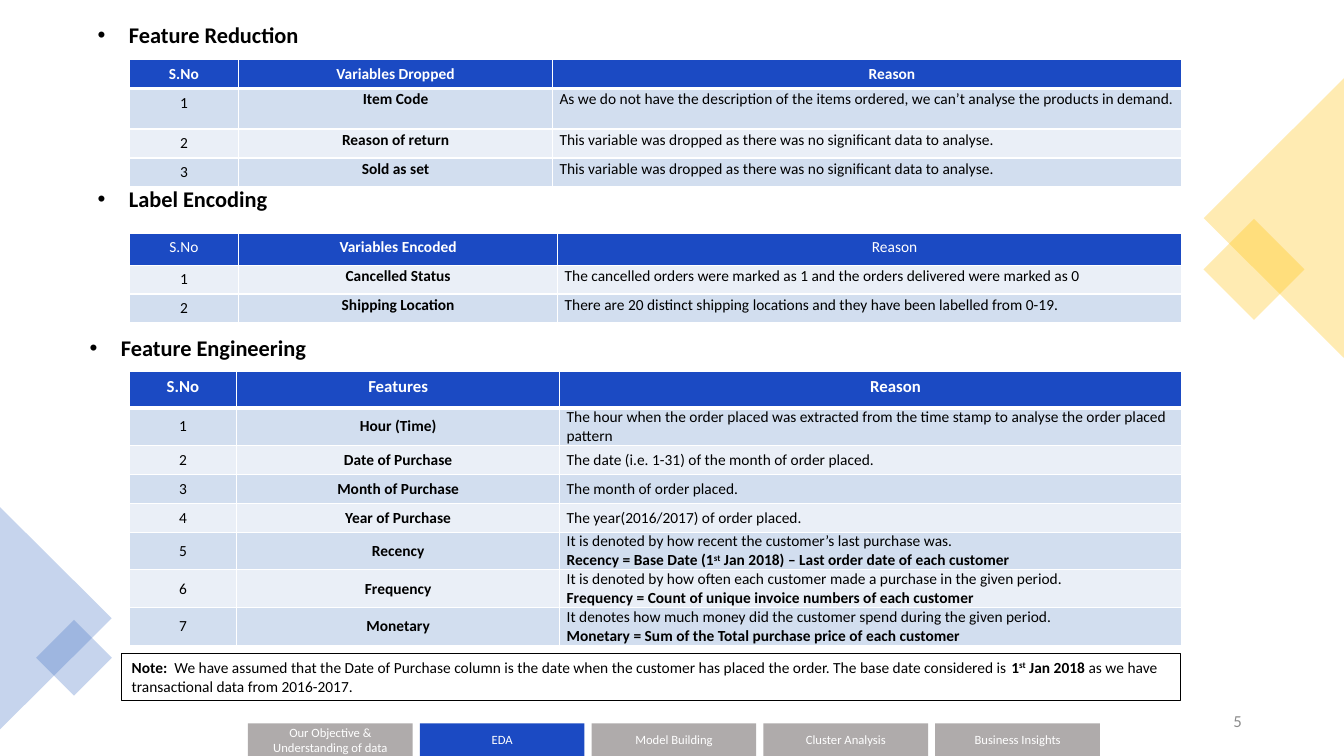
import dataclasses

import lxml.etree
import pptx
import pptx.dml.color
import pptx.enum.shapes
import pptx.enum.text
import pptx.oxml.ns
import pptx.util

Cm, Pt = pptx.util.Cm, pptx.util.Pt
SHAPE = pptx.enum.shapes.MSO_SHAPE
ALIGN = pptx.enum.text.PP_ALIGN
ANCHOR = pptx.enum.text.MSO_ANCHOR
qn = pptx.oxml.ns.qn


@dataclasses.dataclass(frozen=True)
class Theme:
    font: str = "Calibri"
    heading: float = 16
    large: float = 12
    body: float = 11
    nav: float = 9
    black: str = "000000"
    white: str = "FFFFFF"
    blue: str = "1B4AC3"
    gray: str = "AFABAB"
    number: str = "8C8C8C"
    bands: tuple = ("D2DEEF", "EAEFF7")
    gold: str = "FFC000"
    sky: str = "4472C4"


THEME = Theme()
CELL_INSETS = dict(margin_left=Cm(0.18), margin_right=Cm(0.18), margin_top=0, margin_bottom=0)

SECTIONS = [
    dict(
        heading="Feature Reduction", heading_offset=(-1.04, -1.02),
        box=(3.25, 1.5, 26.52), columns=(2.77, 7.9), heights=(0.73, 1.02, 0.73, 0.73),
        header=[("S.No", "b"), ("Variables Dropped", "b"), ("Reason", "b")],
        header_size=THEME.body, header_rule=3, first_band=0, anchor=ANCHOR.TOP, spacing=1.07,
        rows=[
            ("Item Code", "As we do not have the description of the items ordered, "
                          "we can’t analyse the products in demand."),
            ("Reason of return", "This variable was dropped as there was no significant data to analyse."),
            ("Sold as set", "This variable was dropped as there was no significant data to analyse."),
        ]),
    dict(
        heading="Label Encoding", heading_offset=(-1.04, -1.25),
        box=(3.25, 5.87, 26.52), columns=(2.77, 8.03), heights=(0.81, 0.73, 0.73),
        header=[("S.No", ""), ("Variables Encoded", "b"), ("Reason", "")],
        header_size=THEME.body, header_rule=1, first_band=1, anchor=ANCHOR.TOP, spacing=1.07,
        rows=[
            ("Cancelled Status", "The cancelled orders were marked as 1 and the orders delivered were marked as 0"),
            ("Shipping Location", "There are 20 distinct shipping locations and they have been labelled from 0-19."),
        ]),
    dict(
        heading="Feature Engineering", heading_offset=(-1.24, -1.01),
        box=(3.25, 9.37, 26.52), columns=(2.72, 8.13),
        heights=(0.91, 0.94, 0.73, 0.73, 0.73, 0.95, 0.95, 0.95),
        header=[("S.No", "b"), ("Features", "b"), ("Reason", "b")],
        header_size=THEME.large, header_rule=3, first_band=0, anchor=ANCHOR.MIDDLE, spacing=None,
        rows=[
            ("Hour (Time)", "The hour when the order placed was extracted from the time stamp "
                            "to analyse the order placed pattern"),
            ("Date of Purchase", "The date (i.e. 1-31) of the month of order placed."),
            ("Month of Purchase", "The month of order placed."),
            ("Year of Purchase", "The year(2016/2017) of order placed."),
            ("Recency", "It is denoted by how recent the customer’s last purchase was.",
             [("Recency = Base Date (1", "b"), ("st", "b^"), (" Jan 2018) – Last order date of each customer", "b")]),
            ("Frequency", "It is denoted by how often each customer made a purchase in the given period.",
             [("Frequency = Count of unique invoice numbers of each customer", "b")]),
            ("Monetary", "It denotes how much money did the customer spend during the given period.",
             [("Monetary = Sum of the Total purchase price of each customer", "b")]),
        ]),
]

NOTE = [("Note: ", "b"),
        (" We have assumed that the Date of Purchase column is the date when the customer has placed "
         "the order. The base date considered is ", ""),
        ("1", "b"), ("st", "b^"), (" Jan 2018", "b"),
        (" as we have transactional data from 2016-2017.", "")]

NAV = [["Our Objective &", "Understanding of data"], ["EDA"], ["Model Building"],
       ["Cluster Analysis"], ["Business Insights"]]
CURRENT = "EDA"


def rgb(color):
    return pptx.dml.color.RGBColor.from_string(color)


def apply(target, formats):
    for name, value in formats.items():
        setattr(target, name, value)


def write(frame, paragraphs, size, color, **formats):
    """Fill a text frame; each paragraph is a list of (text, marks), b for bold and ^ for raised."""
    for index, runs in enumerate(paragraphs):
        paragraph = frame.add_paragraph() if index else frame.paragraphs[0]
        apply(paragraph, formats)
        for text, marks in runs:
            run = paragraph.add_run()
            run.text = text
            apply(run.font, dict(name=THEME.font, size=Pt(size), bold="b" in marks))
            run.font.color.rgb = rgb(color)
            if "^" in marks:
                run.font._element.set("baseline", "30000")


def add_block(slide, kind, box, fill=None, line=None, alpha=None, rotation=0):
    block = slide.shapes.add_shape(kind, *map(Cm, box))
    block.shadow.inherit = False
    block.rotation = rotation
    if fill:
        block.fill.solid()
        block.fill.fore_color.rgb = rgb(fill)
    else:
        block.fill.background()
    if line:
        block.line.color.rgb = rgb(line)
        block.line.width = Pt(0.75)
    else:
        block.line.fill.background()
    if alpha:
        tint = block.fill._xPr.find(".//" + qn("a:srgbClr"))
        lxml.etree.SubElement(tint, qn("a:alpha"), val=str(alpha * 1000))
    return block


def add_decoration(slide, color, triangle, triangle_turn, diamond):
    add_block(slide, SHAPE.ISOSCELES_TRIANGLE, triangle, color, alpha=30, rotation=triangle_turn)
    add_block(slide, SHAPE.RECTANGLE, diamond, color, alpha=30, rotation=45)


def add_heading(slide, left, top, text):
    frame = slide.shapes.add_textbox(Cm(left), Cm(top), Cm(17.12), Cm(0.86)).text_frame
    frame.word_wrap = True
    properties = frame.paragraphs[0]._p.get_or_add_pPr()
    properties.set("marL", str(Cm(0.79)))
    properties.set("indent", str(-Cm(0.79)))
    lxml.etree.SubElement(properties, qn("a:buFont"), typeface="Arial")
    lxml.etree.SubElement(properties, qn("a:buChar"), char="•")
    write(frame, [[(text, "b")]], THEME.heading, THEME.black, line_spacing=0.9)


def style_cell(cell, fill, top=1, bottom=1):
    """Give a cell white borders and a fill; top and bottom are border widths in points."""
    properties = cell._tc.get_or_add_tcPr()
    for side, width in dict(lnL=1, lnR=1, lnT=top, lnB=bottom).items():
        border = lxml.etree.SubElement(properties, qn("a:" + side), w=str(Pt(width)))
        solid = lxml.etree.SubElement(border, qn("a:solidFill"))
        lxml.etree.SubElement(solid, qn("a:srgbClr"), val=THEME.white)
    cell.fill.solid()
    cell.fill.fore_color.rgb = rgb(fill)


def add_section(slide, section):
    left, top, width = section["box"]
    shift_x, shift_y = section["heading_offset"]
    add_heading(slide, left + shift_x, top + shift_y, section["heading"])

    heights, rule = section["heights"], section["header_rule"]
    widths = [*section["columns"], width - sum(section["columns"])]
    table = slide.shapes.add_table(len(heights), len(widths), Cm(left), Cm(top),
                                   Cm(width), Cm(sum(heights))).table
    for column, column_width in zip(table.columns, widths):
        column.width = Cm(column_width)
    for row, height in zip(table.rows, heights):
        row.height = Cm(height)

    for index, title in enumerate(section["header"]):
        cell = table.cell(0, index)
        style_cell(cell, THEME.blue, bottom=rule)
        write(cell.text_frame, [[title]], section["header_size"], THEME.white, alignment=ALIGN.CENTER)
    reason = table.cell(0, 2).text_frame.paragraphs[0]
    reason.level = 1
    reason._p.get_or_add_pPr().set("marL", str(Cm(1.27)))

    for number, (variable, text, *formula) in enumerate(section["rows"], 1):
        contents = [[[(str(number), "")]], [[(variable, "b")]], [[(text, "")], *formula]]
        for index, paragraphs in enumerate(contents):
            cell = table.cell(number, index)
            style_cell(cell, THEME.bands[(section["first_band"] + number - 1) % 2],
                       top=rule if number == 1 else 1)
            cell.vertical_anchor = section["anchor"]
            if index:
                apply(cell, CELL_INSETS)
            write(cell.text_frame, paragraphs, THEME.body, THEME.black,
                  alignment=ALIGN.LEFT if index == 2 else ALIGN.CENTER,
                  line_spacing=section["spacing"] if index else None)


def add_note(slide, box):
    frame = add_block(slide, SHAPE.RECTANGLE, box, line=THEME.black).text_frame
    apply(frame, dict(word_wrap=True, vertical_anchor=ANCHOR.TOP))
    write(frame, [NOTE], THEME.body, THEME.black, alignment=ALIGN.LEFT)


def add_navigation(slide, left, top, pitch, width, height):
    for index, lines in enumerate(NAV):
        fill = THEME.blue if lines == [CURRENT] else THEME.gray
        frame = add_block(slide, SHAPE.RECTANGLE, (left + index * pitch, top, width, height), fill).text_frame
        apply(frame, dict(word_wrap=True, vertical_anchor=ANCHOR.MIDDLE, margin_top=0, margin_bottom=0))
        write(frame, [[(line, "")] for line in lines], THEME.nav, THEME.white, alignment=ALIGN.CENTER)


def add_page_number(slide, box):
    frame = slide.shapes.add_textbox(*map(Cm, box)).text_frame
    apply(frame, dict(word_wrap=True, vertical_anchor=ANCHOR.MIDDLE))
    write(frame, [[("5", "")]], THEME.large, THEME.number, alignment=ALIGN.RIGHT)


def main():
    deck = pptx.Presentation()
    apply(deck, dict(slide_width=Cm(33.87), slide_height=Cm(19.05)))
    slide = deck.slides.add_slide(deck.slide_layouts[6])
    add_decoration(slide, THEME.gold, (28.58, 3.73, 7.04, 3.53), 270, (30.7, 5.89, 1.8, 1.8))
    add_decoration(slide, THEME.sky, (-1.4, 14.17, 5.61, 2.82), 90, (1.19, 15.9, 1.35, 1.35))
    add_page_number(slide, (23.93, 17.65, 7.62, 1.02))
    for section in SECTIONS:
        add_section(slide, section)
    add_note(slide, (3.07, 16.46, 26.67, 1.19))
    add_navigation(slide, 6.25, 18.23, 4.33, 4.15, 0.82)
    deck.save("out.pptx")


if __name__ == "__main__":
    main()
